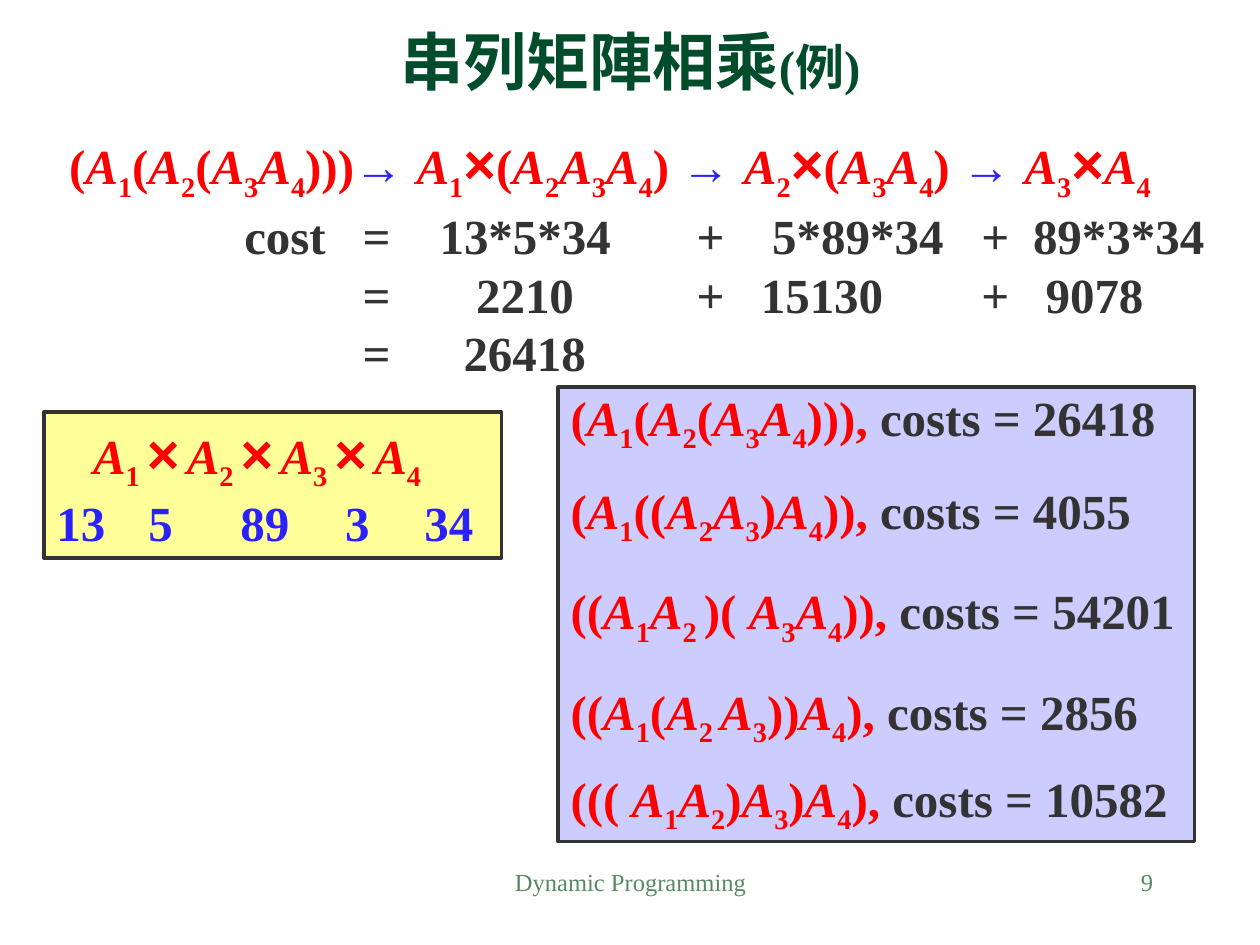
import dataclasses
import itertools

import pptx
import pptx.dml.color
import pptx.enum.shapes
import pptx.enum.text
import pptx.oxml
import pptx.oxml.ns
import pptx.util
from pptx.util import Inches

RGB = pptx.dml.color.RGBColor.from_string
ANCHOR = pptx.enum.text.MSO_ANCHOR
ALIGN = pptx.enum.text.PP_ALIGN
FIT = pptx.enum.text.MSO_AUTO_SIZE


@dataclasses.dataclass(frozen=True)
class Theme:
    serif: str = "Times New Roman"
    sans: str = "Arial"
    title: str = "004C2B"
    formula: str = "FF0000"
    accent: str = "2B21FD"
    ink: str = "333333"
    footer: str = "578963"
    cost_fill: str = "CCCCFF"
    chain_fill: str = "FFFF99"
    title_size: int = 36
    times_size: int = 32
    body_size: int = 28
    footer_size: int = 14


theme = Theme()


def add_run(paragraph, text, *, color=theme.ink, size=theme.body_size,
            font=theme.serif, bold=True, italic=False, subscript=False):
    run = paragraph.add_run()
    run.text = text
    run.font.name = font
    run.font.size = pptx.util.Pt(size)
    run.font.bold = bold
    run.font.italic = italic
    run.font.color.rgb = RGB(color)
    if subscript:
        run.font._element.set("baseline", "-25000")


def add_formula(paragraph, formula):
    """Set matrix names italic, indices lowered, and operators in the sans font."""
    styles = {
        "plain": {},
        "matrix": {"italic": True},
        "index": {"subscript": True},
        "times": {"font": theme.sans, "size": theme.times_size},
        "arrow": {"font": theme.sans, "color": theme.accent},
    }
    kinds = {"A": "matrix", "×": "times", "→": "arrow"}
    spaces_after = {"index": "index", "times": "index", "arrow": "arrow"}
    marked, kind = [], "plain"
    for character in formula:
        if character == " ":
            kind = spaces_after.get(kind, "plain")
        else:
            kind = "index" if character.isdigit() else kinds.get(character, "plain")
        marked.append((kind, character))
    for kind, group in itertools.groupby(marked, key=lambda pair: pair[0]):
        text = "".join(character for _, character in group)
        add_run(paragraph, text, **{"color": theme.formula, **styles[kind]})


presentation = pptx.Presentation()
presentation.slide_width = Inches(10)
presentation.slide_height = Inches(7.5)
slide = presentation.slides.add_slide(presentation.slide_layouts[5])

# Title
title = slide.shapes.title
title.left, title.top = Inches(0.67), Inches(0.25)
title.width, title.height = Inches(8.67), Inches(0.58)
title.text_frame.auto_size = FIT.NONE
title.text_frame.vertical_anchor = ANCHOR.BOTTOM
heading = title.text_frame.paragraphs[0]
heading.alignment = ALIGN.CENTER
add_run(heading, "串列矩陣相乘", color=theme.title, size=theme.title_size)
add_run(heading, "(例)", color=theme.title)

# Boxes: left, top, width, height, fill, wrap
boxes = {
    "costs": (4.43, 3.07, 5.05, 3.61, theme.cost_fill, False),
    "chain": (0.35, 3.27, 3.63, 1.16, theme.chain_fill, True),
    "steps": (0.45, 0.97, 8.81, 0.69, None, False),
    "sums": (1.84, 1.58, 7.82, 1.5, None, False),
}
frames = {}
for name, (left, top, width, height, fill, wrap) in boxes.items():
    place = Inches(left), Inches(top), Inches(width), Inches(height)
    if fill:
        shape = slide.shapes.add_shape(pptx.enum.shapes.MSO_SHAPE.RECTANGLE, *place)
        shape.shadow.inherit = False
        shape.fill.solid()
        shape.fill.fore_color.rgb = RGB(fill)
        shape.line.color.rgb = RGB(theme.ink)
        shape.line.width = pptx.util.Pt(2)
    else:
        shape = slide.shapes.add_textbox(*place)
    frame = shape.text_frame
    frame.word_wrap = wrap
    frame.auto_size = FIT.SHAPE_TO_FIT_TEXT
    frame.vertical_anchor = ANCHOR.MIDDLE
    frame.paragraphs[0].alignment = ALIGN.LEFT
    frames[name] = frame

# Cost of every way to place the parentheses
cost_rows = [
    ("(A1(A2(A3A4))), ", 26418, 0.8),
    ("(A1((A2A3)A4)), ", 4055, 1.5),
    ("((A1A2 )( A3A4)), ", 54201, 1.5),
    ("((A1(A2 A3))A4), ", 2856, 1.5),
    ("((( A1A2)A3)A4), ", 10582, 1.3),
]
for index, (formula, cost, spacing) in enumerate(cost_rows):
    frame = frames["costs"]
    paragraph = frame.add_paragraph() if index else frame.paragraphs[0]
    paragraph.alignment = ALIGN.LEFT
    paragraph.line_spacing = spacing
    add_formula(paragraph, formula)
    add_run(paragraph, f"costs = {cost}")

# Matrix chain and the steps of the first order
chain = frames["chain"].paragraphs[0]
chain._p.get_or_add_pPr().set("marL", str(Inches(0.29)))
add_formula(chain, "A1 × A2 × A3 × A4")
add_formula(frames["steps"].paragraphs[0],
            "(A1(A2(A3A4)))→ A1×(A2A3A4) → A2×(A3A4) → A3×A4")

# Rows aligned with tab stops: dimensions under the chain, then the sums
tabbed_rows = [
    ("chain", theme.accent, "13\t5\t89\t3\t34", (0.73, 1.46, 2.29, 2.92)),
    ("sums", theme.ink, "cost\t=\t13*5*34\t+\t5*89*34\t+\t89*3*34",
     (0.94, 1.55, 3.59, 4.19, 5.85, 6.26)),
    ("sums", theme.ink, "\t=\t2210\t+\t15130\t+\t9078",
     (0.94, 1.84, 3.59, 4.1, 5.85, 6.36)),
    ("sums", theme.ink, "\t=\t26418", (0.94, 1.74)),
]
for name, color, text, stops in tabbed_rows:
    frame = frames[name]
    paragraph = frame.add_paragraph() if frame.text else frame.paragraphs[0]
    paragraph.alignment = ALIGN.LEFT
    tab_list = pptx.oxml.parse_xml(f"<a:tabLst {pptx.oxml.ns.nsdecls('a')}/>")
    for stop in stops:
        tab = tab_list.makeelement(pptx.oxml.ns.qn("a:tab"),
                                   {"pos": str(Inches(stop)), "algn": "l"})
        tab_list.append(tab)
    paragraph._p.get_or_add_pPr().append(tab_list)
    add_run(paragraph, text, color=color)

# Footer and page number
for text, left, width, alignment in [
    ("Dynamic Programming", 3.42, 3.17, ALIGN.CENTER),
    ("9", 7.17, 2.08, ALIGN.RIGHT),
]:
    shape = slide.shapes.add_textbox(Inches(left), Inches(6.83), Inches(width), Inches(0.5))
    shape.text_frame.word_wrap = True
    paragraph = shape.text_frame.paragraphs[0]
    paragraph.alignment = alignment
    add_run(paragraph, text, color=theme.footer, size=theme.footer_size, bold=False)

presentation.save("out.pptx")
